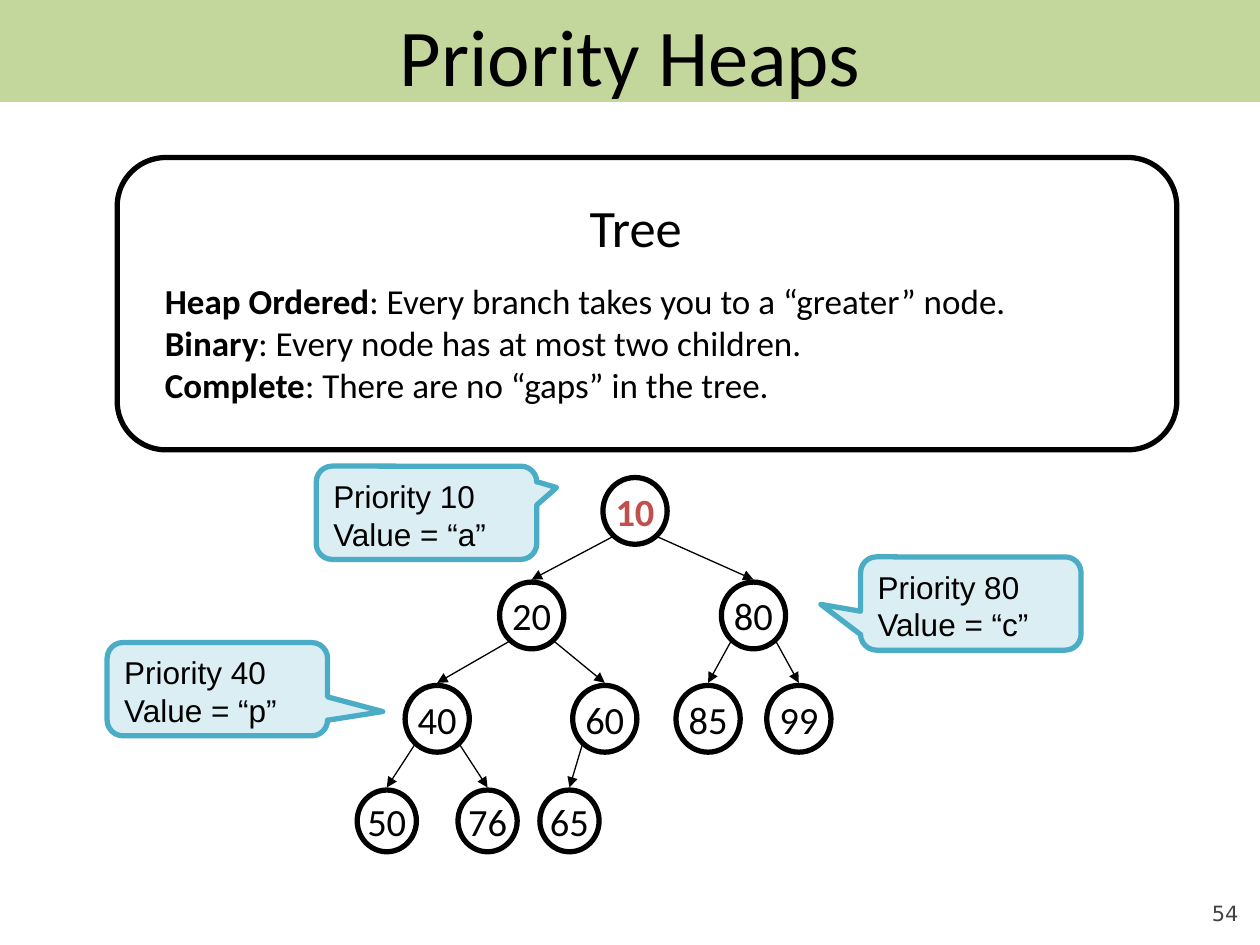
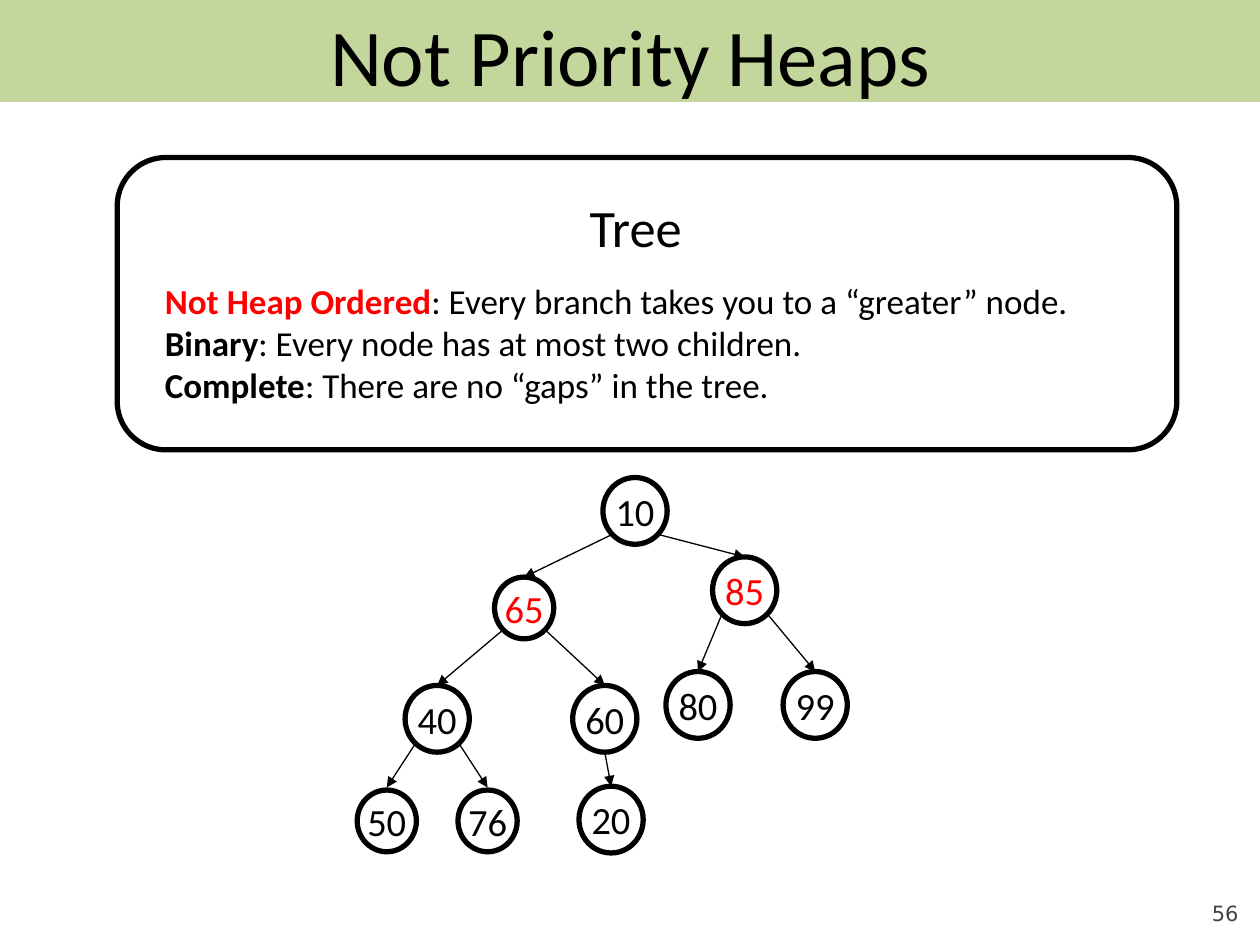
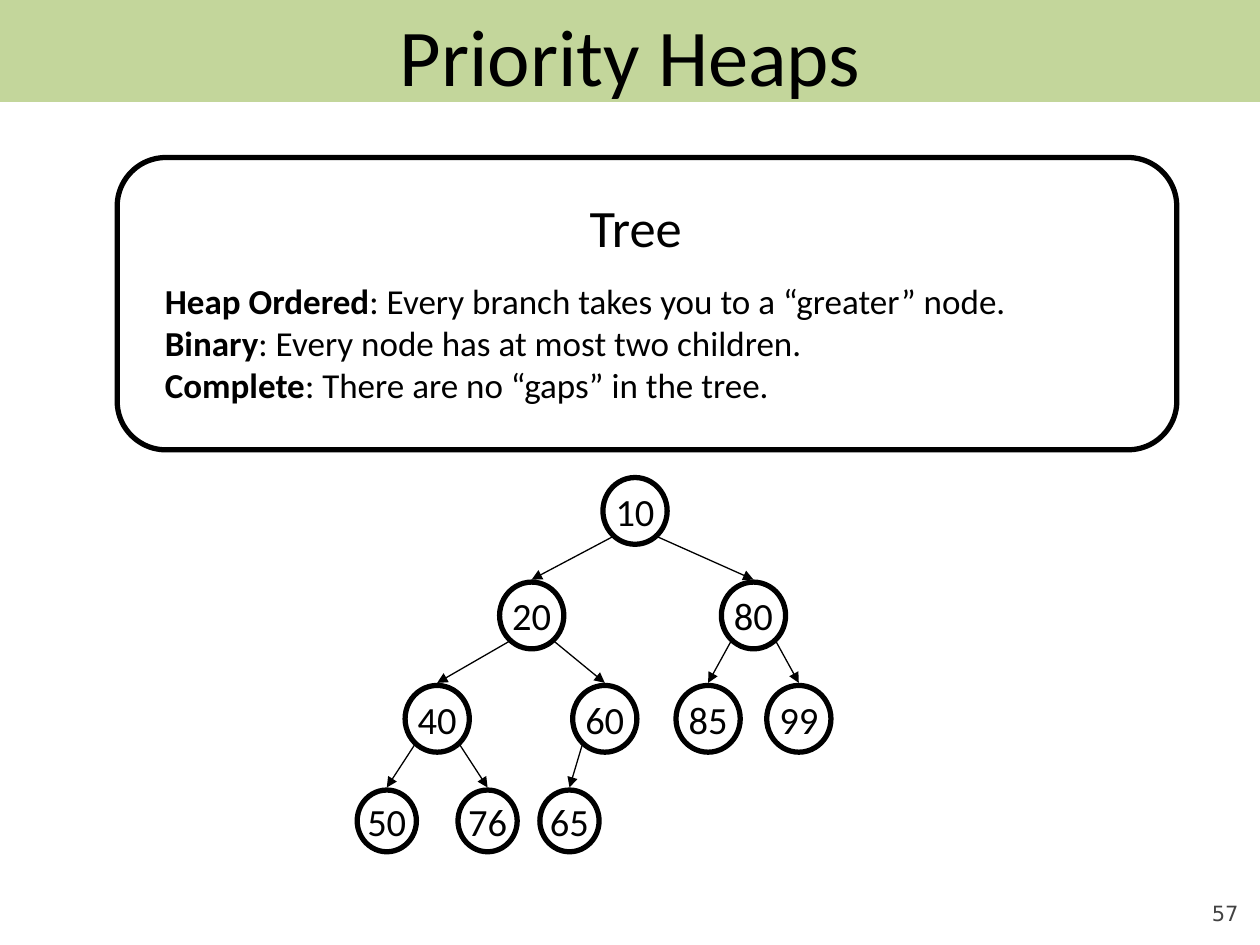
from lxml import etree
from pptx import Presentation
from pptx import util as u
from pptx.dml.color import RGBColor
from pptx.enum import shapes, text
from pptx.oxml.ns import qn

BLACK = RGBColor(0x00, 0x00, 0x00)
RED = RGBColor(0xFF, 0x00, 0x00)
BRICK = RGBColor(0xC0, 0x50, 0x4D)
GREEN = RGBColor(0xC3, 0xD6, 0x9B)
TEAL = RGBColor(0x4B, 0xAC, 0xC6)
PALE_TEAL = RGBColor(0xDB, 0xEE, 0xF4)
GREY = RGBColor(0x42, 0x42, 0x42)

SHAPE = shapes.MSO_SHAPE
ALIGN = text.PP_ALIGN
ANCHOR = text.MSO_ANCHOR
FIT = text.MSO_AUTO_SIZE

LEVELS = (3.79, 4.62, 5.44, 6.27)
LARGE = (0.51, 0.53)
SMALL = (0.47, 0.49)
EDGE_GAP = 0.02

HEAP_NODES = {
    "10": (5.04, LEVELS[0], LARGE),
    "20": (4.22, LEVELS[1], LARGE),
    "80": (5.98, LEVELS[1], LARGE),
    "40": (3.47, LEVELS[2], LARGE),
    "60": (4.8, LEVELS[2], LARGE),
    "85": (5.62, LEVELS[2], LARGE),
    "99": (6.34, LEVELS[2], LARGE),
    "50": (3.07, LEVELS[3], SMALL),
    "76": (3.87, LEVELS[3], SMALL),
    "65": (4.52, LEVELS[3], SMALL),
}
HEAP_EDGES = {"10": ("20", "80"), "20": ("40", "60"), "80": ("85", "99"),
              "40": ("50", "76"), "60": ("65",)}

BROKEN_NODES = HEAP_NODES | {
    "65": (4.16, 4.58, SMALL),
    "85": (5.91, 4.42, LARGE),
    "80": (5.54, 5.33, LARGE),
    "99": (6.47, 5.33, LARGE),
    "20": (4.85, 6.24, LARGE),
}
BROKEN_EDGES = {"10": ("65", "85"), "65": ("40", "60"), "85": ("80", "99"),
                "40": ("50", "76"), "60": ("20",)}

CALLOUTS = (
    ("10", "a", 2.51, 3.7, (0.59, -0.27)),
    ("80", "c", 6.83, 4.42, (-0.68, 0.01)),
    ("40", "p", 0.85, 5.1, (0.75, 0.24)),
)


class Deck:
    def __init__(self):
        self.prs = Presentation()
        self.prs.slide_width, self.prs.slide_height = u.Inches(10), u.Inches(7.5)
        self.s = None

    def slide(self, title, number):
        self.s = self.prs.slides.add_slide(self.prs.slide_layouts[5])
        band = self.shape(SHAPE.RECTANGLE, (0, 0, 10, 0.81), fill=GREEN)
        sp = self.s.shapes.title
        sp.element.addprevious(band.element)
        sp.left, sp.top, sp.width, sp.height = map(u.Inches, (0.5, 0, 9, 0.75))
        self.set_text(sp, [[(title, {})]], 46, align=ALIGN.CENTER)
        self.text((9, 6.95, 0.83, 0.4), [[(number, {})]], 12,
                  font="DejaVu Sans", color=GREY, align=ALIGN.RIGHT, inset=0,
                  vertical_anchor=ANCHOR.BOTTOM)

    def set_text(self, sp, lines, size, font="Calibri", color=BLACK,
                 align=ALIGN.LEFT, inset=None, **frame):
        tf = sp.text_frame
        settings = {"word_wrap": True, "auto_size": FIT.NONE,
                    "vertical_anchor": ANCHOR.TOP} | frame
        if inset is not None:
            sides = ("left", "top", "right", "bottom")
            settings |= {f"margin_{side}": u.Inches(inset) for side in sides}
        for name, value in settings.items():
            setattr(tf, name, value)
        for i, runs in enumerate(lines):
            p = tf.add_paragraph() if i else tf.paragraphs[0]
            p.alignment = align
            for words, style in runs:
                r = p.add_run()
                r.text = words
                values = {"name": font, "size": u.Pt(size), "bold": False} | style
                r.font.color.rgb = values.pop("color", color)
                for name, value in values.items():
                    setattr(r.font, name, value)

    def text(self, box, lines, size, **style):
        sp = self.s.shapes.add_textbox(*map(u.Inches, box))
        self.set_text(sp, lines, size, **style)

    def shape(self, kind, box, fill=None, line=None):
        sp = self.s.shapes.add_shape(kind, *map(u.Inches, box))
        sp.shadow.inherit = False
        if fill is None:
            sp.fill.background()
        else:
            sp.fill.solid()
            sp.fill.fore_color.rgb = fill
        if line is None:
            sp.line.fill.background()
        else:
            sp.line.color.rgb = line
            sp.line.width = u.Pt(3)
        return sp

    def node(self, label, place, style):
        x, top, (width, height) = place
        sp = self.shape(SHAPE.OVAL, (x - width / 2, top, width, height), line=BLACK)
        self.set_text(sp, [[(label, style)]], 22, align=ALIGN.CENTER,
                      word_wrap=False, vertical_anchor=ANCHOR.MIDDLE)

    def edge(self, parent, child, gap):
        x, top, (width, height) = parent
        end_x, end_top, _ = child
        shift = end_x - x
        if abs(shift) < 0.1:
            start = (x, top + height)
        else:
            side = 1 if shift > 0 else -1
            start = (x + side * 0.35 * width, top + 0.85 * height + gap)
        sp = self.s.shapes.add_connector(
            shapes.MSO_CONNECTOR.STRAIGHT,
            *map(u.Inches, (*start, end_x, end_top - gap)))
        sp.line.color.rgb = BLACK
        sp.line.width = u.Pt(0.75)
        properties = sp.element.spPr
        etree.SubElement(properties.find(qn("a:ln")), qn("a:tailEnd"), type="triangle")
        etree.SubElement(properties, qn("a:effectLst"))

    def tree(self, nodes, edges, styles=None, touching=()):
        styles = styles or {}
        for label, place in nodes.items():
            self.node(label, place, styles.get(label, {}))
        for parent, children in edges.items():
            gap = 0 if parent in touching else EDGE_GAP
            for child in children:
                self.edge(nodes[parent], nodes[child], gap)

    def callout(self, priority, value, left, top, tip):
        sp = self.shape(SHAPE.ROUNDED_RECTANGULAR_CALLOUT, (left, top, 1.75, 0.74),
                        fill=PALE_TEAL, line=TEAL)
        for i, amount in enumerate((*tip, 0.17)):
            sp.adjustments[i] = amount
        self.set_text(sp, [[(f"Priority {priority}", {})],
                           [(f"Value = “{value}”", {})]], 18, font="Arial")

    def rules(self, order="Heap Ordered", order_color=BLACK):
        facts = (
            (order, "Every branch takes you to a “greater” node.", order_color),
            ("Binary", "Every node has at most two children.", BLACK),
            ("Complete", "There are no “gaps” in the tree.", BLACK),
        )
        self.text((4.54, 1.5, 0.97, 0.61), [[("Tree", {})]], 30, align=ALIGN.RIGHT,
                  word_wrap=False, auto_size=FIT.SHAPE_TO_FIT_TEXT)
        self.text((1.21, 2.17, 7.61, 1.11),
                  [[(term, {"bold": True, "color": color}), (f": {meaning}", {})]
                   for term, meaning, color in facts],
                  20, auto_size=FIT.SHAPE_TO_FIT_TEXT)
        self.shape(SHAPE.ROUNDED_RECTANGLE, (0.93, 1.25, 8.41, 2.32), line=BLACK)


def main():
    deck = Deck()

    deck.slide("Priority Heaps", "54")
    deck.tree(HEAP_NODES, HEAP_EDGES, {"10": {"bold": True, "color": BRICK}})
    for callout in CALLOUTS:
        deck.callout(*callout)
    deck.rules()

    deck.slide("Not Priority Heaps", "56")
    deck.tree(BROKEN_NODES, BROKEN_EDGES,
              {"65": {"color": RED}, "85": {"color": RED}},
              touching=("10", "65", "85", "60"))
    deck.rules("Not Heap Ordered", RED)

    deck.slide("Priority Heaps", "57")
    deck.tree(HEAP_NODES, HEAP_EDGES)
    deck.rules()

    deck.prs.save("out.pptx")


if __name__ == "__main__":
    main()
